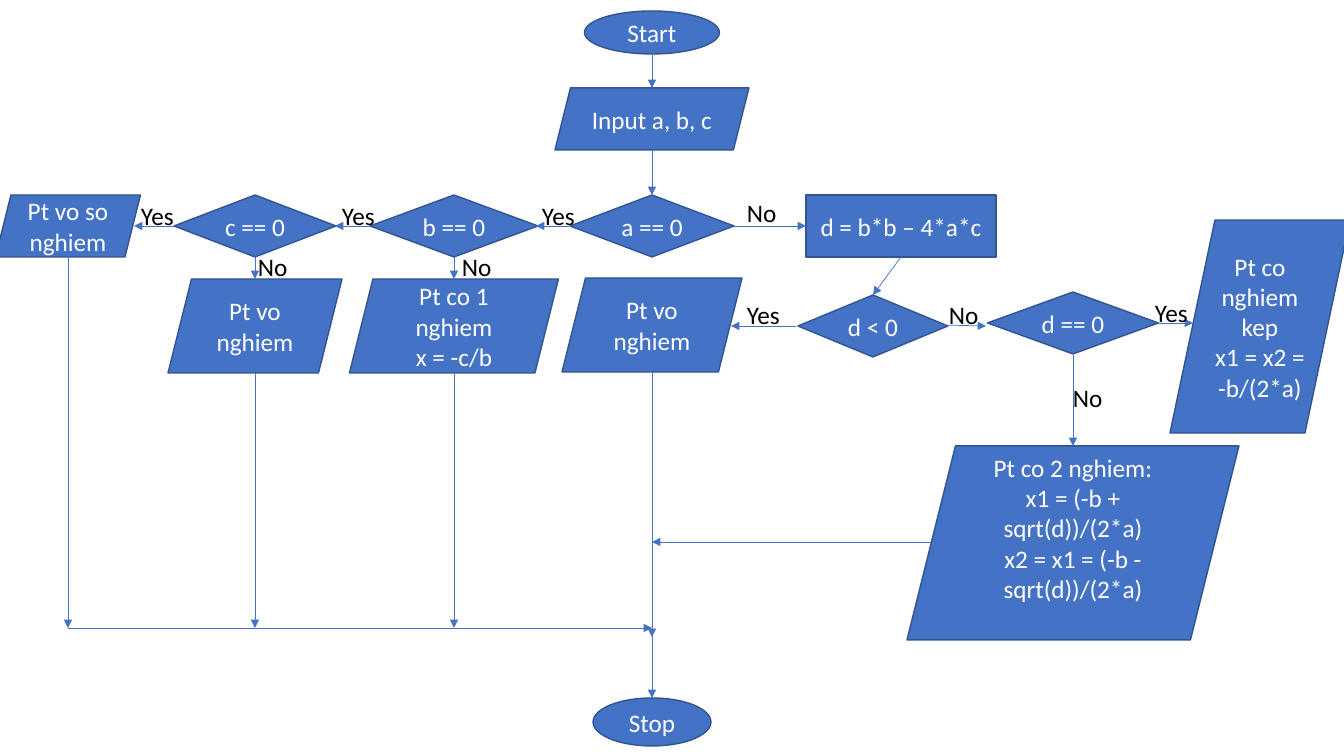
from lxml import etree
from pptx import Presentation
from pptx.dml.color import RGBColor
from pptx.enum.shapes import MSO_CONNECTOR, MSO_SHAPE as SHAPE
from pptx.enum.text import MSO_ANCHOR as ANCHOR, PP_ALIGN as ALIGN
from pptx.oxml.ns import qn
from pptx.util import Pt

PX = 914400 / 100.8
COLORS = {"fill": "4472C4", "edge": "325491", "light": "FFFFFF", "dark": "000000"}
LABEL_H = 40
STEP_H = 62
RESULT_H = 94


def emu(*lengths):
    """Turn pixel lengths into EMU."""
    return [round(n * PX) for n in lengths]


def rgb(name):
    """Look up a named colour."""
    return RGBColor.from_string(COLORS[name])


def write(tf, text, color="dark", size=18, font="Calibri", align=ALIGN.LEFT,
          anchor=ANCHOR.TOP):
    """Fill a text frame, one paragraph per line of text."""
    tf.word_wrap = True
    tf.vertical_anchor = anchor
    for i, line in enumerate(text.split("\n")):
        p = tf.add_paragraph() if i else tf.paragraphs[0]
        p.alignment = align
        r = p.add_run()
        r.text = line
        r.font.size, r.font.name = Pt(size), font
        r.font.color.rgb = rgb(color)


def node(s, box, kind, cx, y, w, h, text):
    """Add a flowchart shape centred on cx, relative to the box."""
    sp = s.shapes.add_shape(kind, *emu(box[0] + cx - w / 2, box[1] + y, w, h))
    sp.shadow.inherit = False
    sp.fill.solid()
    sp.fill.fore_color.rgb = rgb("fill")
    sp.line.color.rgb = rgb("edge")
    sp.line.width = Pt(1)
    write(sp.text_frame, text, color="light", align=ALIGN.CENTER, anchor=ANCHOR.MIDDLE)
    return sp


def arrow(s, box, x1, y1, x2, y2):
    """Add an arrow between two points relative to the box."""
    x, y = box[:2]
    ends = emu(x + x1, y + y1, x + x2, y + y2)
    cxn = s.shapes.add_connector(MSO_CONNECTOR.STRAIGHT, *ends)
    cxn.line.color.rgb = rgb("fill")
    cxn.line.width = Pt(0.5)
    etree.SubElement(cxn.line._get_or_add_ln(), qn("a:tailEnd"), type="triangle")
    etree.SubElement(cxn._element.spPr, qn("a:effectLst"))


def label(s, box, x, y, text, w=57):
    """Add a branch label relative to the box."""
    tb = s.shapes.add_textbox(*emu(box[0] + x, box[1] + y, w, LABEL_H))
    write(tb.text_frame, text)


def trunk(s, box):
    """Draw the central column from start to stop."""
    mid, bottom = box[2] / 2, box[3]
    node(s, box, SHAPE.OVAL, mid, 0, 135, 43, "Start")
    node(s, box, SHAPE.PARALLELOGRAM, mid, 77, 194, STEP_H, "Input a, b, c")
    node(s, box, SHAPE.DIAMOND, mid, 184, 164, STEP_H, "a == 0")
    node(s, box, SHAPE.PARALLELOGRAM, mid, 267, 180, RESULT_H, "Pt vo nghiem")
    node(s, box, SHAPE.OVAL, mid, bottom - 48, 118, 48, "Stop")
    for y1, y2 in [(43, 77), (139, 184), (361, 626), (617, bottom - 48)]:
        arrow(s, box, mid, y1, mid, y2)


def linear_branch(s, box):
    """Draw the tests for a == 0, which merge at the box's lower right."""
    right, bottom = box[2:]
    axis = STEP_H / 2
    result_y = 84
    tests = [("b == 0", 458, 168, "Pt co 1 nghiem\nx = -c/b", 209, 456),
             ("c == 0", 259, 162, "Pt vo nghiem", 174, 252)]
    for test, cx, w, result, result_w, no_x in tests:
        node(s, box, SHAPE.DIAMOND, cx, 0, w, STEP_H, test)
        node(s, box, SHAPE.PARALLELOGRAM, cx, result_y, result_w, RESULT_H, result)
        arrow(s, box, cx, STEP_H, cx, result_y)
        arrow(s, box, cx, result_y + RESULT_H, cx, bottom)
        label(s, box, no_x, 51, "No")
    node(s, box, SHAPE.PARALLELOGRAM, 72, 0, 145, STEP_H, "Pt vo so nghiem")
    arrow(s, box, 72, STEP_H, 72, bottom)
    arrow(s, box, 72, bottom, right, bottom)
    for x1, x2, yes_x in [(573, 540, 536), (374, 339, 336), (178, 138, 135)]:
        arrow(s, box, x1, axis, x2, axis)
        label(s, box, yes_x, 0, "Yes")


def quadratic_branch(s, box):
    """Draw the discriminant tests, right of the trunk's centre line."""
    node(s, box, SHAPE.RECTANGLE, 249, 0, 190, STEP_H, "d = b*b – 4*a*c")
    node(s, box, SHAPE.DIAMOND, 221, 100, 150, STEP_H, "d < 0")
    node(s, box, SHAPE.DIAMOND, 421, 97, 171, STEP_H, "d == 0")
    node(s, box, SHAPE.PARALLELOGRAM, 608, 25, 180, 213,
         "Pt co nghiem kep\nx1 = x2 = -b/(2*a)")
    roots = node(s, box, SHAPE.PARALLELOGRAM, 421, 251, 332, 194,
                 "Pt co 2 nghiem:\nx1 = (-b + sqrt(d))/(2*a)\n"
                 "x2 = x1 = (-b - sqrt(d))/(2*a)")
    roots.text_frame.margin_bottom = emu(35)[0]
    for ends in [(82, 31, 154, 31), (249, 62, 221, 100), (144, 131, 79, 131),
                 (288, 130, 334, 131), (506, 128, 541, 128),
                 (421, 160, 421, 251), (279, 347, 0, 347)]:
        arrow(s, box, *ends)
    for x, y, text in [(85, -3, "No"), (85, 99, "Yes"), (287, 99, "No"),
                       (493, 97, "Yes"), (411, 182, "No")]:
        label(s, box, x, y, text)


prs = Presentation()
prs.slide_width, prs.slide_height = emu(1344, 756)
slide = prs.slides.add_slide(prs.slide_layouts[6])
trunk(slide, (555, 11, 194, 735))
linear_branch(slide, (-4, 195, 656, 433))
quadratic_branch(slide, (652, 195, 698, 445))
prs.save("out.pptx")
